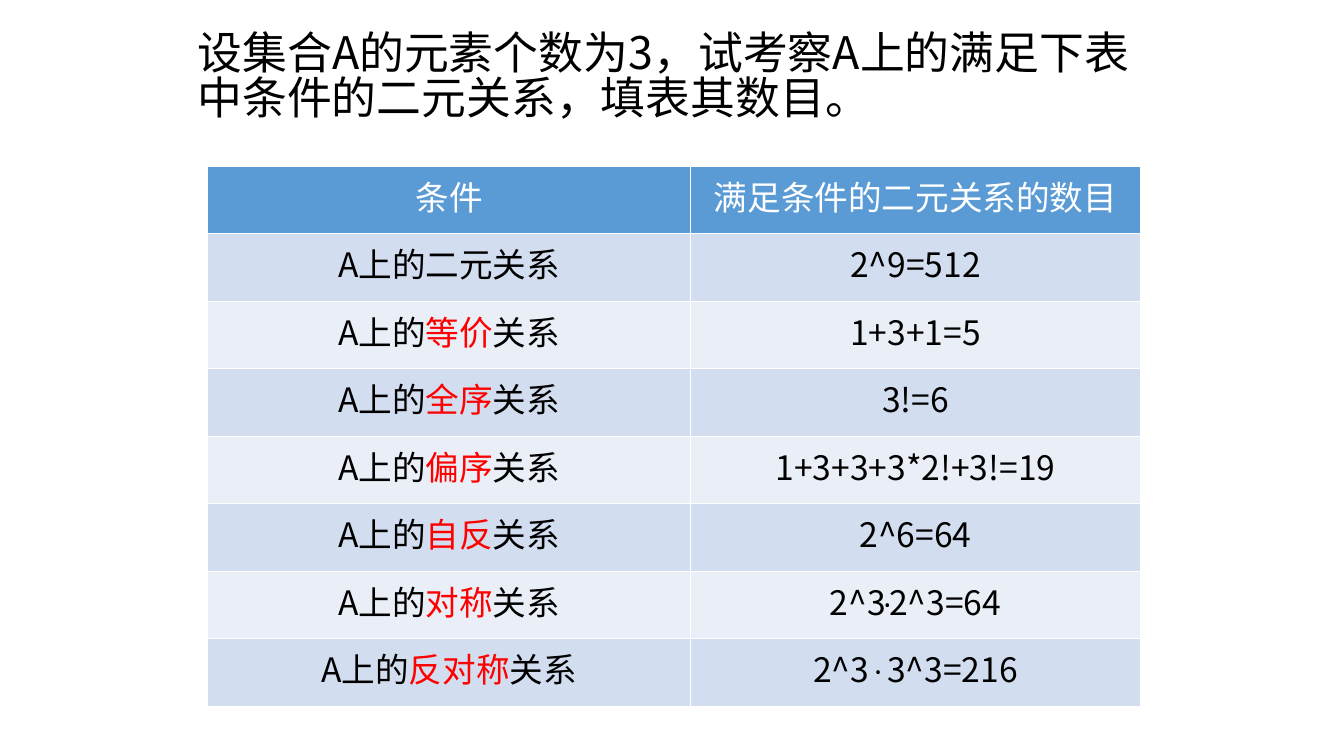
from dataclasses import dataclass

import pptx
import pptx.dml.color
import pptx.enum.text
import pptx.oxml
import pptx.oxml.ns
import pptx.table
import pptx.text.text
import pptx.util
from lxml import etree
from pptx.dml.color import RGBColor
from pptx.util import Inches

BLACK = RGBColor(0x00, 0x00, 0x00)
WHITE = RGBColor(0xFF, 0xFF, 0xFF)
RED = RGBColor(0xFF, 0x00, 0x00)
HEADER_BLUE = RGBColor(0x5B, 0x9B, 0xD5)
BAND_BLUES = (RGBColor(0xD2, 0xDE, 0xEF), RGBColor(0xEA, 0xEF, 0xF7))
BODY_FONT = "Noto Sans CJK SC"
MATH_FONT = "Cambria"


@dataclass(frozen=True)
class Piece:
    text: str
    color: RGBColor = BLACK
    font: str = BODY_FONT


@dataclass(frozen=True)
class Relation:
    kind: str
    count: tuple[Piece, ...]

    def condition(self) -> tuple[Piece, ...]:
        if not self.kind:
            return (Piece("A上的二元关系"),)
        return Piece("A上的"), Piece(self.kind, RED), Piece("关系")


HEADINGS = (Piece("条件", WHITE), Piece("满足条件的二元关系的数目", WHITE))
RELATIONS = (
    Relation("", (Piece("2^9=512"),)),
    Relation("等价", (Piece("1+3+1=5"),)),
    Relation("全序", (Piece("3!=6"),)),
    Relation("偏序", (Piece("1+3+3+3*2!+3!=19"),)),
    Relation("自反", (Piece("2^6=64"),)),
    Relation("对称", (Piece("2^3"), Piece("·", font=MATH_FONT), Piece("2^3=64"))),
    Relation("反对称", (Piece("2^3"), Piece(" · ", font=MATH_FONT), Piece("3^3=216"))),
)
COLUMN_WIDTHS = (4.79, 4.46)
ROW_HEIGHT = 0.67


def write_pieces(
    paragraph: pptx.text.text._Paragraph, pieces: tuple[Piece, ...], size: int
) -> None:
    for piece in pieces:
        run = paragraph.add_run()
        run.text = piece.text
        font_format = {"name": piece.font, "size": pptx.util.Pt(size), "bold": False}
        for attribute, value in font_format.items():
            setattr(run.font, attribute, value)
        run.font.color.rgb = piece.color
        east_asian = etree.SubElement(
            run.font._element, pptx.oxml.ns.qn("a:ea")
        )
        east_asian.set("typeface", piece.font)


def add_borders(cell: pptx.table._Cell, bottom_width: int, top_width: int) -> None:
    properties = cell._tc.get_or_add_tcPr()
    widths = {"lnL": 1, "lnR": 1, "lnT": top_width, "lnB": bottom_width}
    for position, (side, width) in enumerate(widths.items()):
        border = pptx.oxml.parse_xml(
            f'<a:{side} {pptx.oxml.ns.nsdecls("a")} w="{pptx.util.Pt(width)}">'
            f'<a:solidFill><a:srgbClr val="{WHITE}"/></a:solidFill></a:{side}>'
        )
        properties.insert(position, border)


def fill_cell(
    cell: pptx.table._Cell, pieces: tuple[Piece, ...], fill: RGBColor
) -> None:
    cell.fill.solid()
    cell.fill.fore_color.rgb = fill
    cell.vertical_anchor = pptx.enum.text.MSO_ANCHOR.TOP
    paragraph = cell.text_frame.paragraphs[0]
    paragraph.alignment = pptx.enum.text.PP_ALIGN.CENTER
    write_pieces(paragraph, pieces, 24)
    add_borders(cell, 1, 1)


def main() -> None:
    presentation = pptx.Presentation()
    presentation.slide_width = Inches(13.33)
    presentation.slide_height = Inches(7.5)
    slide = presentation.slides.add_slide(presentation.slide_layouts[6])

    question = slide.shapes.add_textbox(
        Inches(1.86), Inches(0.29), Inches(9.64), Inches(1.48)
    ).text_frame
    question.word_wrap = True
    question.paragraphs[0].line_spacing = 0.83
    question_text = "设集合A的元素个数为3，试考察A上的满足下表中条件的二元关系，填表其数目。"
    write_pieces(question.paragraphs[0], (Piece(question_text),), 32)

    rows = [tuple((heading,) for heading in HEADINGS)]
    rows += [(relation.condition(), relation.count) for relation in RELATIONS]
    relation_table = slide.shapes.add_table(
        len(rows), len(COLUMN_WIDTHS), Inches(2.06), Inches(1.65),
        Inches(sum(COLUMN_WIDTHS)), Inches(ROW_HEIGHT * len(rows)),
    ).table
    for column, width in zip(relation_table.columns, COLUMN_WIDTHS):
        column.width = Inches(width)
    for index, row in enumerate(rows):
        relation_table.rows[index].height = Inches(ROW_HEIGHT)
        fill = BAND_BLUES[(index - 1) % 2] if index else HEADER_BLUE
        for column_index, pieces in enumerate(row):
            fill_cell(relation_table.cell(index, column_index), pieces, fill)

    presentation.save("out.pptx")


if __name__ == "__main__":
    main()
